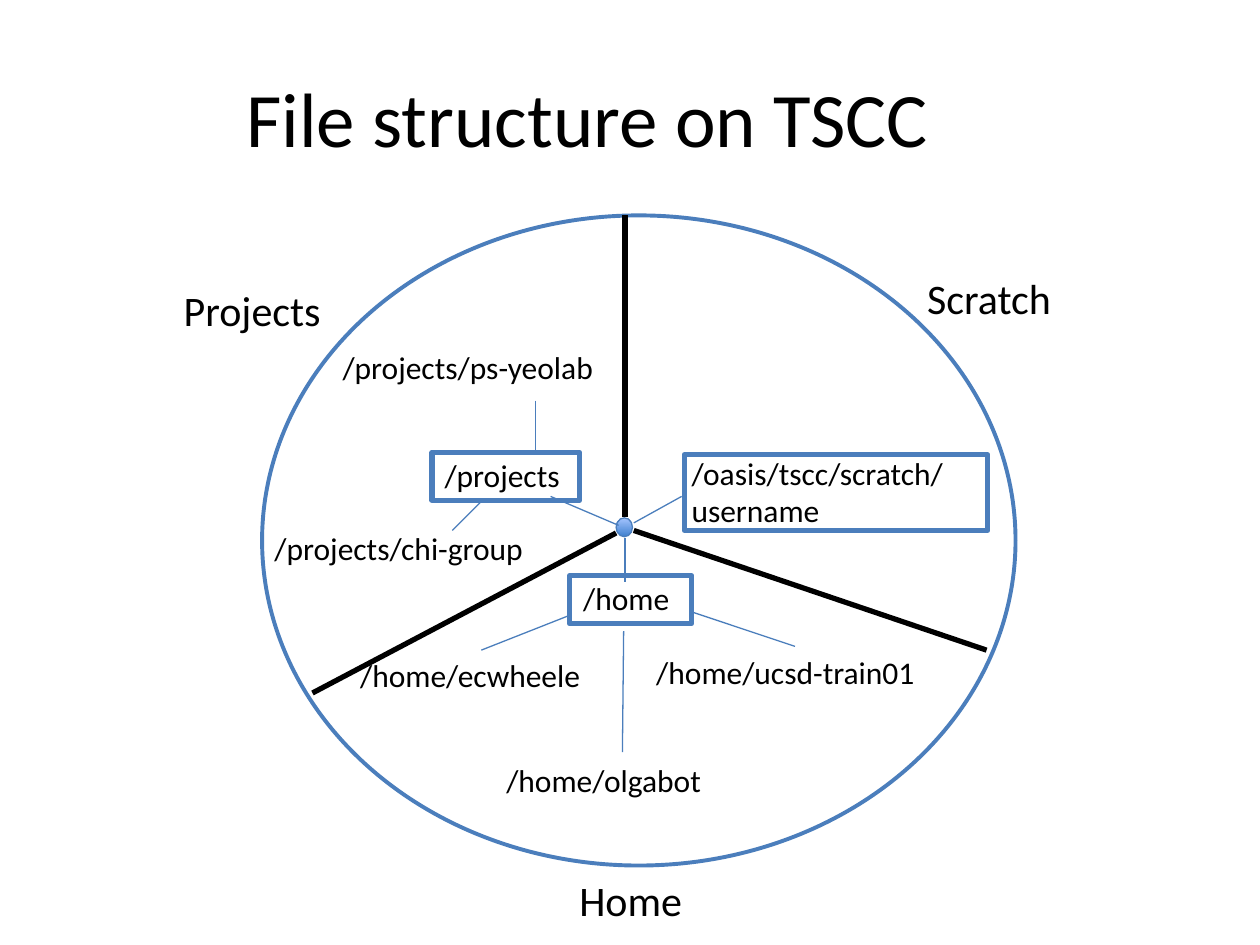
from pptx import Presentation
from pptx.dml.color import RGBColor
from pptx.enum.shapes import MSO_CONNECTOR as CONN, MSO_SHAPE as SHAPE
from pptx.enum.text import MSO_ANCHOR as ANCHOR, PP_ALIGN as ALIGN
from pptx.oxml.xmlchemy import OxmlElement
from pptx.util import Inches, Pt

BLACK = RGBColor(0x00, 0x00, 0x00)
BLUE = RGBColor(0x4B, 0x7E, 0xBC)
HUB_DARK = RGBColor(0x3F, 0x80, 0xCE)
HUB_LIGHT = RGBColor(0xA4, 0xC4, 0xFF)
FONT = "Calibri"


def set_font(p, size):
    """Give a paragraph the slide's font at one size."""
    p.font.name, p.font.size, p.font.color.rgb = FONT, Pt(size), BLACK


def add_label(s, x, y, w, h, text, size=18):
    """Add a wrapped text box."""
    tf = s.shapes.add_textbox(Inches(x), Inches(y), Inches(w), Inches(h)).text_frame
    tf.word_wrap = True
    p = tf.paragraphs[0]
    p.text = text
    set_font(p, size)


def add_line(s, x1, y1, x2, y2, color=BLUE, width=0.75):
    """Add a straight line without a shadow."""
    line = s.shapes.add_connector(CONN.STRAIGHT, Inches(x1), Inches(y1), Inches(x2), Inches(y2))
    line.line.color.rgb, line.line.width = color, Pt(width)
    line._element.spPr.append(OxmlElement("a:effectLst"))


def add_outline(s, kind, x, y, w, h, width):
    """Add an unfilled shape with a blue outline."""
    sp = s.shapes.add_shape(kind, Inches(x), Inches(y), Inches(w), Inches(h))
    sp.shadow.inherit = False
    sp.fill.background()
    sp.line.color.rgb, sp.line.width = BLUE, Pt(width)
    return sp


def add_title(s, x, y, w, h, text):
    """Place and format the title placeholder."""
    title = s.shapes.title
    title.left, title.top, title.width, title.height = map(Inches, (x, y, w, h))
    tf = title.text_frame
    tf.vertical_anchor = ANCHOR.MIDDLE
    p = tf.paragraphs[0]
    p.text, p.alignment = text, ALIGN.CENTER
    set_font(p, 44)


def add_wheel(s, x, y, w, h):
    """Draw the circle, its three dividers and the hub."""
    add_outline(s, SHAPE.OVAL, x, y, w, h, 2.25)
    for x1, y1, x2, y2 in ((2.95, 2.5, 5.75, 3.45), (0.4, 3.79, 2.81, 2.52), (2.88, 2.39, 2.88, 0)):
        add_line(s, x + x1, y + y1, x + x2, y + y2, BLACK, 3)
    hub = add_outline(s, SHAPE.OVAL, x + 2.81, y + 2.4, 0.13, 0.15, 0.75)
    hub.fill.gradient()
    hub.fill.gradient_angle = 90
    for stop, color in zip(hub.fill.gradient_stops, (HUB_DARK, HUB_LIGHT)):
        stop.color.rgb = color


def add_sector(s, x, y, w, h, caption, root, branches, leaves):
    """Draw a framed root folder with its branches, leaf folders and caption."""
    for x1, y1, x2, y2 in branches:
        add_line(s, x + x1, y + y1, x + x2, y + y2)
    for dx, dy, width, text in leaves:
        add_label(s, x + dx, y + dy, width, 0.4, text)
    dx, dy, width, height, text = root
    add_label(s, x + dx, y + dy, width, height, text)
    add_outline(s, SHAPE.RECTANGLE, x, y, w, h, 3)
    dx, dy, text = caption
    add_label(s, x + dx, y + dy, 1.4, 0.5, text, 24)


def main():
    """Build and save the slide."""
    prs = Presentation()
    prs.slide_width, prs.slide_height = Inches(10), Inches(7.5)
    s = prs.slides.add_slide(prs.slide_layouts[5])
    add_title(s, 0.5, 0.3, 8.33, 1.25, "File structure on TSCC")
    add_wheel(s, 2.08, 1.71, 5.98, 5.16)
    add_sector(
        s, 4.52, 4.57, 0.97, 0.38, (-0.02, 2.32, "Home"), (0.01, -0.02, 1.3, 0.4, "/home"),
        [(0.44, -0.3, 0.44, 0.05), (0.01, 0.31, -0.7, 0.59),
         (0.98, 0.29, 1.79, 0.56), (0.43, 0.44, 0.42, 1.4)],
        [(-1.76, 0.59, 2.11, "/home/ecwheele"), (-0.6, 1.42, 1.91, "/home/olgabot"),
         (0.59, 0.56, 2.59, "/home/ucsd-train01")])
    add_sector(
        s, 5.43, 3.61, 2.41, 0.6, (1.83, -1.5, "Scratch"),
        (-0.04, -0.06, 2.67, 0.71, "/oasis/tscc/scratch/username"),
        [(-0.02, 0.33, -0.4, 0.54)], [])
    add_sector(
        s, 3.43, 3.59, 1.17, 0.38, (-2.07, -1.38, "Projects"), (0, -0.02, 1.44, 0.4, "/projects"),
        [(1.48, 0.58, 0.94, 0.35), (0.82, -0.41, 0.82, -0.02), (0.39, 0.39, 0.16, 0.62)],
        [(-0.81, -0.88, 2.52, "/projects/ps-yeolab"),
         (-1.35, 0.56, 2.52, "/projects/chi-group")])
    prs.save("out.pptx")


main()
